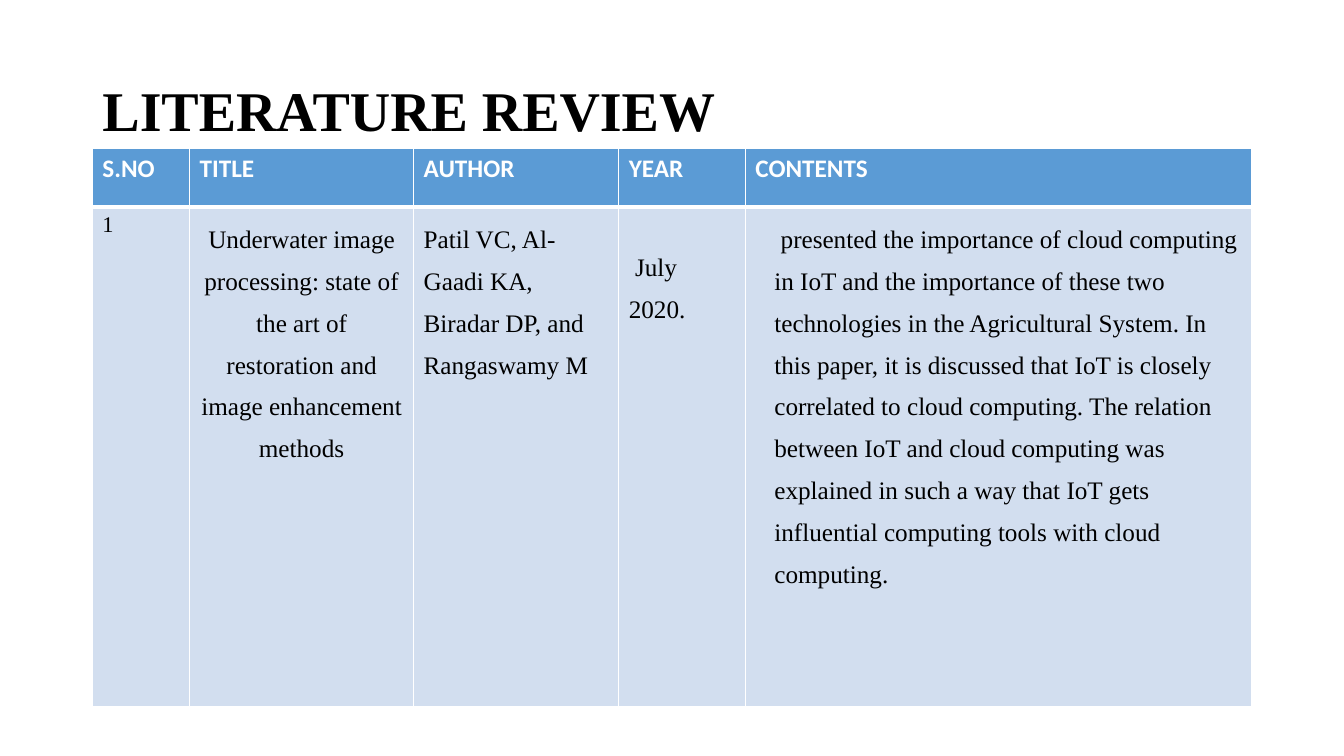
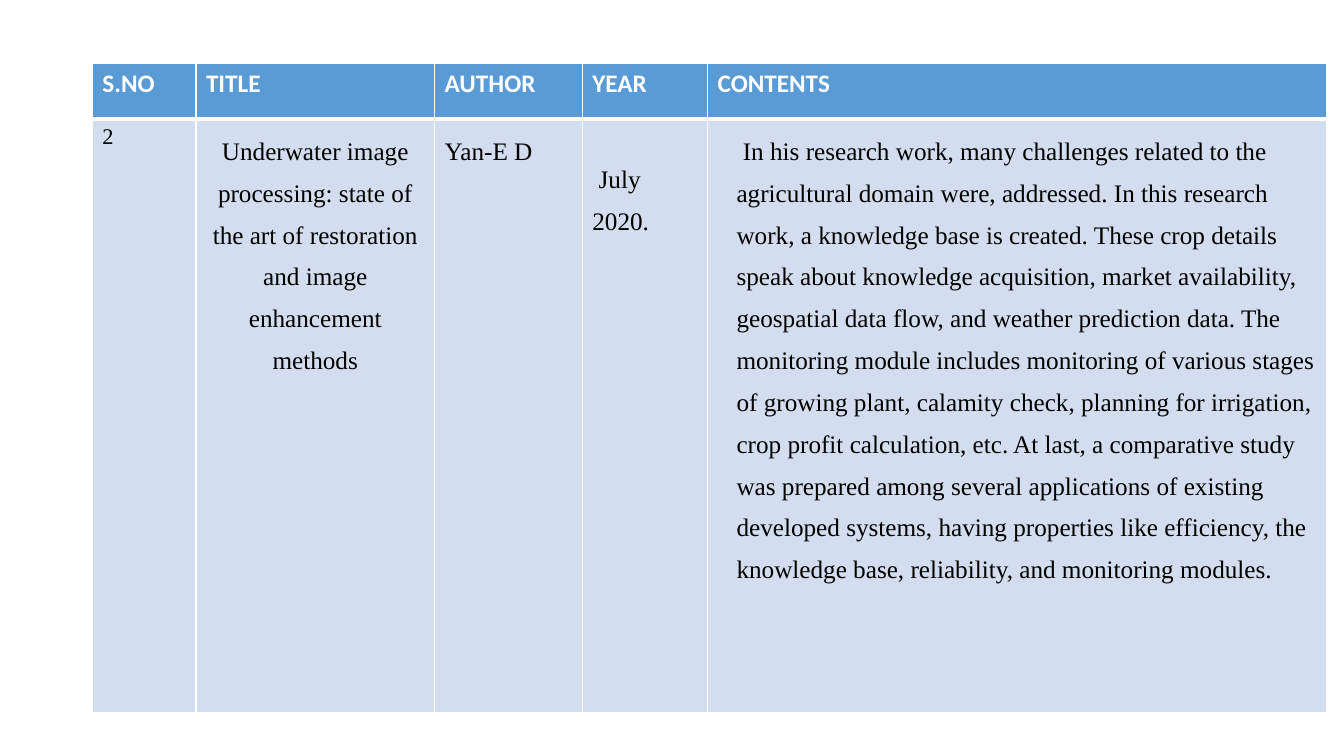
from lxml.etree import SubElement
from pptx import Presentation
from pptx.dml.color import RGBColor
from pptx.enum.text import MSO_ANCHOR as ANCHOR, PP_ALIGN as ALIGN
from pptx.oxml.ns import qn
from pptx.util import Pt

WHITE, BLACK, BLUE, PALE = "FFFFFF", "000000", "5B9BD5", "D2DEEF"
SERIF, SANS = "Times New Roman", "Calibri"
LEFT = 66

HEADERS = ["S.NO", "TITLE", "AUTHOR", "YEAR", "CONTENTS"]
TOPIC = ("Underwater image processing: state of the art of restoration "
         "and image enhancement methods")

REVIEWS = [
    {
        "title": "LITERATURE REVIEW",
        "top": 106,
        "cols": [69.5, 160, 146.5, 90.5, 361.5],
        "rows": [42, 357],
        "entry": [
            "1", TOPIC,
            "Patil VC, Al-Gaadi KA, Biradar DP, and Rangaswamy M",
            "July 2020.",
            "presented the importance of cloud computing in IoT and the "
            "importance of these two technologies in the Agricultural System. "
            "In this paper, it is discussed that IoT is closely correlated to "
            "cloud computing. The relation between IoT and cloud computing was "
            "explained in such a way that IoT gets influential computing tools "
            "with cloud computing.",
        ],
    },
    {
        "title": None,
        "top": 45.5,
        "cols": [74, 170.5, 105.5, 89.5, 442],
        "rows": [39.5, 424],
        "entry": [
            "2", TOPIC, "Yan-E D", "July 2020.",
            "In his research work, many challenges related to the agricultural "
            "domain were, addressed. In this research work, a knowledge base is "
            "created. These crop details speak about knowledge acquisition, "
            "market availability, geospatial data flow, and weather prediction "
            "data. The monitoring module includes monitoring of various stages "
            "of growing plant, calamity check, planning for irrigation, crop "
            "profit calculation, etc. At last, a comparative study was prepared "
            "among several applications of existing developed systems, having "
            "properties like efficiency, the knowledge base, reliability, and "
            "monitoring modules.",
        ],
    },
]

HEADER_STYLE = dict(font=SANS, color=WHITE, bold=True)
ENTRY_STYLES = [
    dict(size=16),
    dict(spacing=1.5, align=ALIGN.CENTER),
    dict(spacing=1.5),
    dict(spacing=1.5, first=4.5),
    dict(spacing=1.5, indent=13.5, first=4.5),
]
YEAR_COLUMN, YEAR_MARGIN = 3, 23.6


def rgb(value):
    return RGBColor.from_string(value)


def write(tf, text, size=18, font=SERIF, color=BLACK, bold=False,
          align=ALIGN.LEFT, spacing=1, indent=0, first=0):
    p = tf.paragraphs[0]
    p.alignment, p.line_spacing = align, spacing
    if indent or first:
        pPr = p._p.get_or_add_pPr()
        pPr.set("marL", str(Pt(indent)))
        pPr.set("indent", str(Pt(first)))
    r = p.add_run()
    r.text = text
    r.font.size, r.font.name, r.font.bold = Pt(size), font, bold
    r.font.color.rgb = rgb(color)


def style_cell(cell, fill, borders):
    tcPr = cell._tc.get_or_add_tcPr()
    for side, width in borders.items():
        ln = SubElement(tcPr, qn("a:ln" + side), w=str(Pt(width)))
        SubElement(SubElement(ln, qn("a:solidFill")), qn("a:srgbClr"), val=WHITE)
    cell.fill.solid()
    cell.fill.fore_color.rgb = rgb(fill)


def add_title(s, text):
    sp = s.shapes.title
    sp.left, sp.top, sp.width, sp.height = Pt(LEFT), Pt(28.8), Pt(828), Pt(104.4)
    sp.text_frame.vertical_anchor = ANCHOR.MIDDLE
    write(sp.text_frame, text, size=40, bold=True, spacing=0.9)


def add_review(s, top, cols, rows, entry):
    table = s.shapes.add_table(len(rows), len(cols), Pt(LEFT), Pt(top),
                               Pt(sum(cols)), Pt(sum(rows))).table
    table.horz_banding = False
    for row, height in zip(table.rows, rows):
        row.height = Pt(height)
    for i, width in enumerate(cols):
        table.columns[i].width = Pt(width)
        head, body = table.cell(0, i), table.cell(1, i)
        style_cell(head, BLUE, dict(L=1, R=1, T=1, B=3))
        style_cell(body, PALE, dict(L=1, R=1, T=3, B=1))
        write(head.text_frame, HEADERS[i], **HEADER_STYLE)
        write(body.text_frame, entry[i], **ENTRY_STYLES[i])
    table.cell(1, YEAR_COLUMN).margin_top = Pt(YEAR_MARGIN)


def main():
    prs = Presentation()
    prs.slide_width, prs.slide_height = Pt(960), Pt(540)
    title_only, blank = prs.slide_layouts[5], prs.slide_layouts[6]
    for review in REVIEWS:
        title = review["title"]
        s = prs.slides.add_slide(title_only if title else blank)
        if title:
            add_title(s, title)
        add_review(s, review["top"], review["cols"], review["rows"], review["entry"])
    prs.save("out.pptx")


if __name__ == "__main__":
    main()
